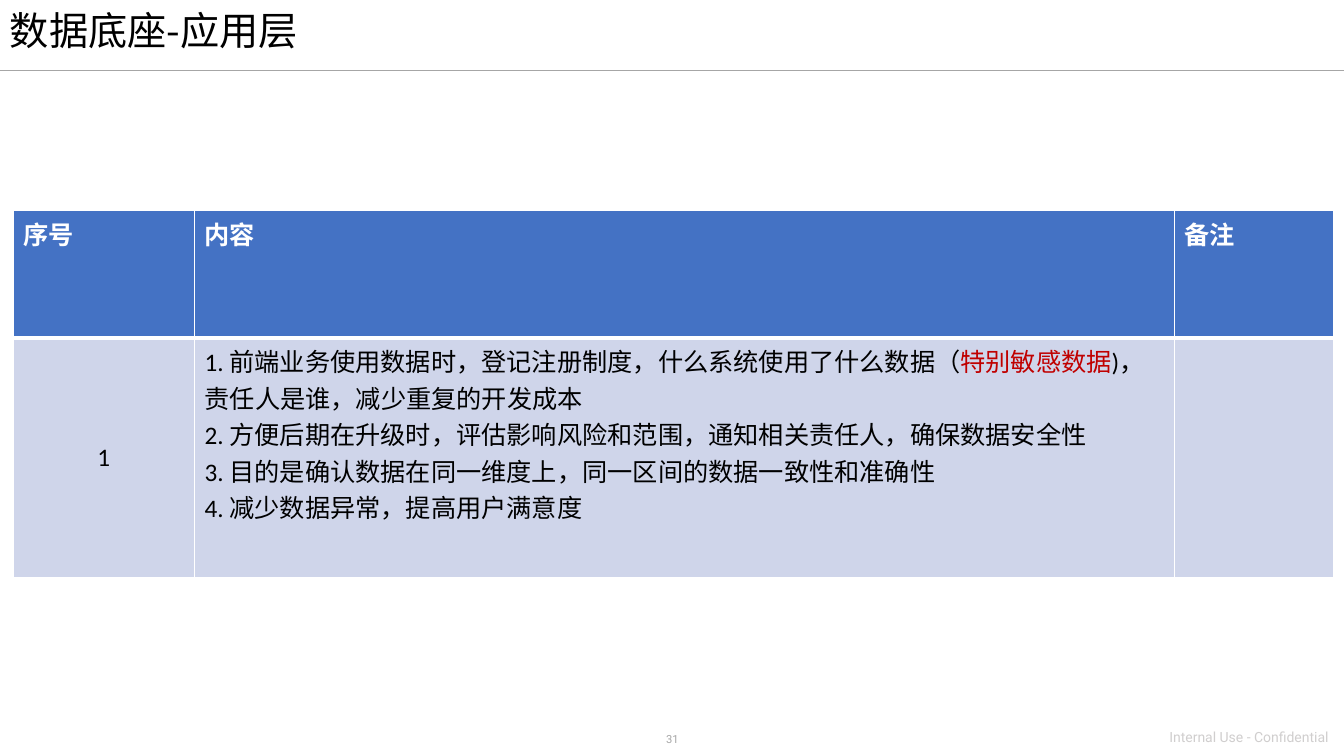
"""Build the data foundation slide: a title, a two-row table and a footer."""
from lxml import etree
from pptx import Presentation
from pptx import util as u
from pptx.dml.color import RGBColor
from pptx.enum import shapes, text
from pptx.oxml.ns import qn

PX = u.Inches(1) // 100
THEME = {
    "black": "000000", "white": "FFFFFF", "red": "C00000",
    "rule": "A6A6A6", "footer": "D0CECE", "header": "4472C4", "body": "CFD5EA",
    "title_size": 28, "table_size": 18, "footer_size": 10, "number_size": 8,
    "cjk": "Noto Sans CJK SC", "table_font": "Calibri", "footer_font": "Roboto",
}
LEFT, CENTER = text.PP_ALIGN.LEFT, text.PP_ALIGN.CENTER
TOP, MIDDLE = text.MSO_ANCHOR.TOP, text.MSO_ANCHOR.MIDDLE


def write(frame, lines, size, font, color, bold=False, align=LEFT, spacing=1.0):
    """Fill a text frame; each line is a list of (words, colour override) pairs."""
    for index, line in enumerate(lines):
        para = frame.paragraphs[0] if index == 0 else frame.add_paragraph()
        para.alignment, para.line_spacing = align, spacing
        for words, override in line:
            span = para.add_run()
            span.text = words
            look = {"size": u.Pt(THEME[size]), "name": THEME[font], "bold": bold}
            for name, value in look.items():
                setattr(span.font, name, value)
            span.font.color.rgb = RGBColor.from_string(THEME[override or color])
            etree.SubElement(span._r.get_or_add_rPr(), qn("a:ea"), typeface=THEME["cjk"])


def add_border(cell, order, side, points):
    """Draw one white cell edge."""
    edge = etree.Element(qn(f"a:ln{side}"), w=str(u.Pt(points)))
    fill = etree.SubElement(edge, qn("a:solidFill"))
    etree.SubElement(fill, qn("a:srgbClr"), val=THEME["white"])
    cell._tc.get_or_add_tcPr().insert(order, edge)


deck = Presentation()
deck.slide_width, deck.slide_height = 1333 * PX, 750 * PX
page = deck.slides.add_slide(deck.slide_layouts[6])

rule = page.shapes.add_connector(shapes.MSO_CONNECTOR.STRAIGHT, 0, 70 * PX, 1333 * PX, 70 * PX)
rule.line.width = u.Pt(1)
rule.line.color.rgb = RGBColor.from_string(THEME["rule"])
etree.SubElement(rule._element.spPr, qn("a:effectLst"))

labels = [
    ("31", (579, 722, 176, 24), TOP,
     {"size": "number_size", "font": "footer_font", "color": "rule", "align": CENTER}),
    ("Internal Use - Confidential", (1150, 718, 184, 27), TOP,
     {"size": "footer_size", "font": "footer_font", "color": "footer"}),
    ("数据底座-应用层", (0, 0, 986, 66), MIDDLE,
     {"size": "title_size", "font": "cjk", "color": "black", "spacing": 0.9}),
]
for words, place, anchor, look in labels:
    box = page.shapes.add_textbox(*(length * PX for length in place))
    box.text_frame.word_wrap = True
    box.text_frame.vertical_anchor = anchor
    write(box.text_frame, [[(words, None)]], **look)

widths, heights = [180, 972, 158], [126, 238]
content = [
    [("1. 前端业务使用数据时，登记注册制度，什么系统使用了什么数据（", None),
     ("特别敏感数据", "red"), (")，责任人是谁，减少重复的开发成本", None)],
    [("2. 方便后期在升级时，评估影响风险和范围，通知相关责任人，确保数据安全性", None)],
    [("3. 目的是确认数据在同一维度上，同一区间的数据一致性和准确性", None)],
    [("4. 减少数据异常，提高用户满意度", None)],
]
rows = [
    [[[("序号", None)]], [[("内容", None)]], [[("备注", None)]]],
    [[[("1", None)]], content, []],
]
row_styles = [
    {"fill": "header", "color": "white", "bold": True, "edges": {"L": 1, "R": 1, "T": 1, "B": 3}},
    {"fill": "body", "color": "black", "bold": False, "edges": {"L": 1, "R": 1, "T": 3, "B": 1}},
]
table = page.shapes.add_table(
    len(rows), len(widths), 13 * PX, 209 * PX, sum(widths) * PX, sum(heights) * PX).table
for column, width in zip(table.columns, widths):
    column.width = width * PX
for row, height in zip(table.rows, heights):
    row.height = height * PX

for row_index, (row, style) in enumerate(zip(rows, row_styles)):
    for column_index, lines in enumerate(row):
        cell = table.cell(row_index, column_index)
        numbered = row_index == 1 and column_index == 0
        cell.vertical_anchor = MIDDLE if numbered else TOP
        cell.fill.solid()
        cell.fill.fore_color.rgb = RGBColor.from_string(THEME[style["fill"]])
        for order, (side, points) in enumerate(style["edges"].items()):
            add_border(cell, order, side, points)
        write(cell.text_frame, lines, "table_size", "table_font", style["color"],
              style["bold"], CENTER if numbered else LEFT)

deck.save("out.pptx")
